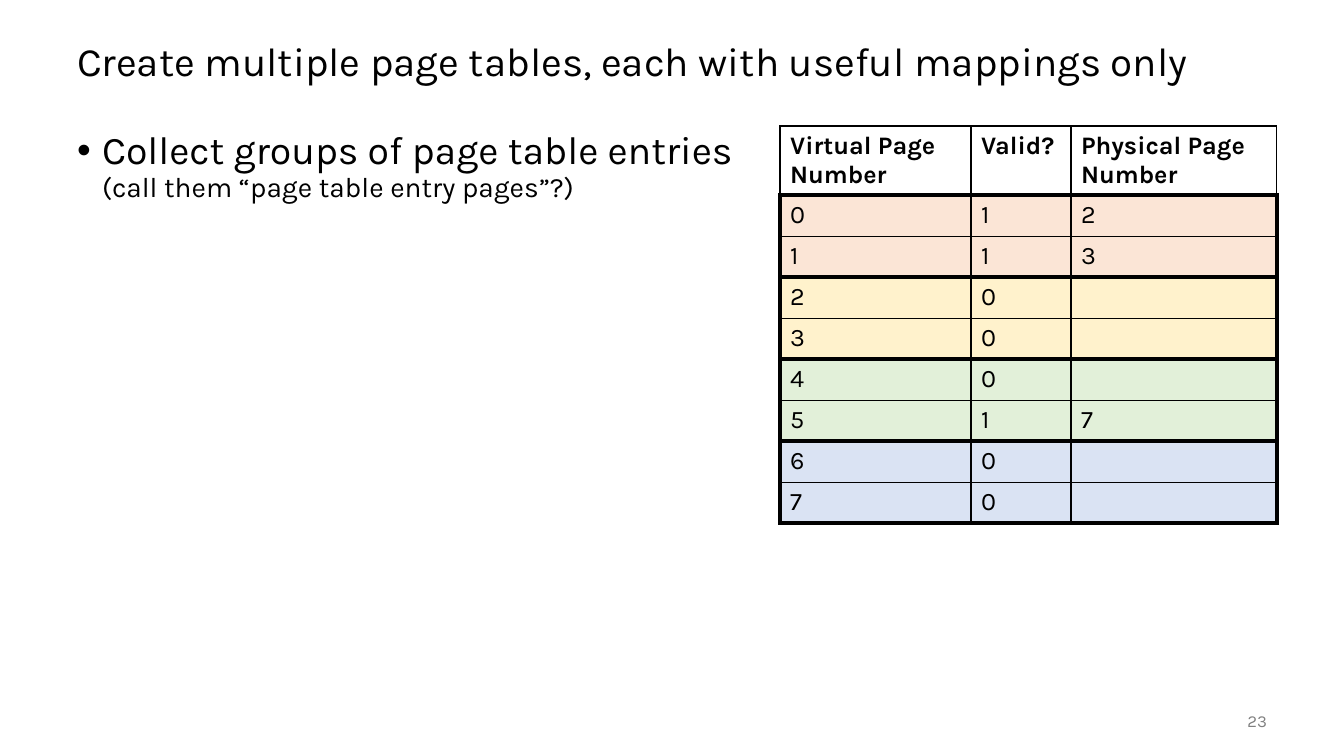
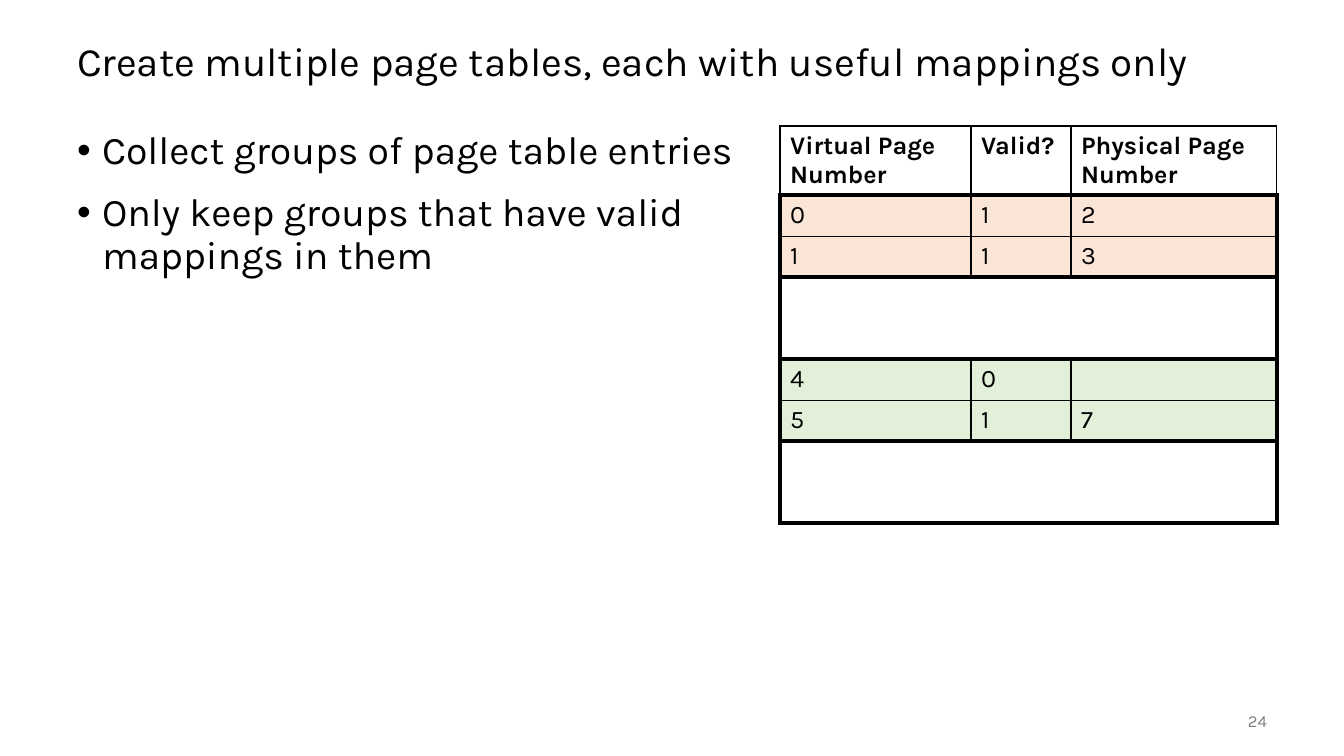
import copy

from lxml import etree
from pptx import Presentation
from pptx import util as u
from pptx.dml import color
from pptx.enum import text
from pptx.oxml import ns

PX = 914400 / 100.8  # EMU in one px
COLORS = {
    "ink": "000000", "muted": "808080", "white": "FFFFFF",
    "peach": "FBE5D6", "yellow": "FFF2CC", "green": "E2F0D9", "blue": "DAE3F3",
}
GROUPS = ["peach", "yellow", "green", "blue"]
GROUP_SIZE = 2
HEADERS = ["Virtual Page Number", "Valid?", "Physical Page Number"]
MAPPINGS = {0: 2, 1: 3, 5: 7}  # virtual page: physical page
TITLE = "Create multiple page tables, each with useful mappings only"
COLLECT = "Collect groups of page table entries"


def px(n):
    return u.Emu(round(n * PX))


def sub(parent, tag, **attrs):
    return etree.SubElement(parent, ns.qn(tag), attrs)


class Deck:
    FONT = "Karla"
    THIN, THICK = 1, 3

    def __init__(self):
        self.prs = Presentation()
        self.prs.slide_width, self.prs.slide_height = px(1344), px(756)
        self.s = None

    def slide(self, title, number):
        self.s = self.prs.slides.add_slide(self.prs.slide_layouts[1])
        self.title(title)
        self.number(number)

    def place(self, sp, left, top, width, height, anchor):
        sp.left, sp.top, sp.width, sp.height = map(px, (left, top, width, height))
        tf = sp.text_frame
        tf.word_wrap = True
        tf.auto_size = text.MSO_AUTO_SIZE.NONE
        tf.vertical_anchor = anchor
        return tf

    def run(self, p, words, size, ink="ink", bold=False):
        r = p.add_run()
        r.text = words
        r.font.name, r.font.size, r.font.bold = self.FONT, u.Pt(size), bold
        r.font.color.rgb = color.RGBColor.from_string(COLORS[ink])
        return r

    def title(self, words):
        tf = self.place(self.s.shapes.title, 67, 25, 1210, 76, text.MSO_ANCHOR.MIDDLE)
        p = tf.paragraphs[0]
        p.alignment, p.line_spacing = text.PP_ALIGN.LEFT, 0.9
        self.run(p, words, 28.8)

    def number(self, n):
        sp = self.s.shapes.add_textbox(0, 0, 0, 0)
        p = self.place(sp, 1176, 701, 101, 40, text.MSO_ANCHOR.MIDDLE).paragraphs[0]
        p.alignment = text.PP_ALIGN.RIGHT
        self.run(p, str(n), 12, "muted")

    def bullets(self, items):
        """Each item is a main line with an optional smaller line below it."""
        tf = self.place(self.s.placeholders[1], 67, 126, 699, 554, text.MSO_ANCHOR.TOP)
        for i, (main, *notes) in enumerate(items):
            p = tf.add_paragraph() if i else tf.paragraphs[0]
            pPr = p._p.get_or_add_pPr()
            pPr.set("marL", str(px(25)))
            pPr.set("indent", str(-px(25)))
            sub(pPr, "a:buFont", typeface="Arial")
            sub(pPr, "a:buChar", char="•")
            p.line_spacing, p.space_before = 0.9, u.Pt(14 if i else 0)
            r = self.run(p, main, 28)
            for note in notes:
                p.add_line_break()
                # The break takes the size of the line it ends
                p._p[-1].append(copy.deepcopy(r._r.rPr))
                self.run(p, note, 20)

    def cell(self, cell, words, fill, borders, bold=False):
        """Borders are widths in points: left, right, top, bottom; 0 is none."""
        tcPr = cell._tc.get_or_add_tcPr()
        for side, width in zip("LRTB", borders):
            ln = sub(tcPr, f"a:ln{side}", w=str(u.Pt(width)))
            if width:
                sub(sub(ln, "a:solidFill"), "a:srgbClr", val=COLORS["ink"])
            else:
                sub(ln, "a:noFill")
        cell.fill.solid()
        cell.fill.fore_color.rgb = color.RGBColor.from_string(COLORS[fill])
        if words:
            self.run(cell.text_frame.paragraphs[0], words, 18, bold=bold)

    def page_table(self, valid_only=False):
        widths, heights = [191, 100, 206], [68] + [41] * 7 + [39]
        frame = self.s.shapes.add_table(len(heights), len(widths), px(780), px(126),
                                        px(sum(widths)), px(sum(heights)))
        table = frame.table
        table.first_row = table.horz_banding = False
        for column, width in zip(table.columns, widths):
            column.width = px(width)
        for row, height in zip(table.rows, heights):
            row.height = px(height)

        # Header
        for c, words in enumerate(HEADERS):
            self.cell(table.cell(0, c), words, "white",
                      (self.THIN,) * 3 + (self.THICK,), bold=True)

        # Groups of entries, each in a thick frame
        last = len(widths) - 1
        for g, fill in enumerate(GROUPS):
            pages = range(g * GROUP_SIZE, (g + 1) * GROUP_SIZE)
            shown = not valid_only or any(page in MAPPINGS for page in pages)
            inner = self.THIN if shown else 0
            for page in pages:
                values = [page, int(page in MAPPINGS), MAPPINGS.get(page, "")]
                for c, value in enumerate(values):
                    edges = (c == 0, c == last, page == pages[0], page == pages[-1])
                    self.cell(table.cell(page + 1, c), str(value) if shown else "",
                              fill if shown else "white",
                              [self.THICK if edge else inner for edge in edges])


def main():
    deck = Deck()

    # All groups
    deck.slide(TITLE, 23)
    deck.page_table()
    deck.bullets([(COLLECT, "(call them “page table entry pages”?)")])

    # Only groups with a valid mapping
    deck.slide(TITLE, 24)
    deck.page_table(valid_only=True)
    deck.bullets([(COLLECT,), ("Only keep groups that have valid mappings in them",)])

    deck.prs.save("out.pptx")


if __name__ == "__main__":
    main()
